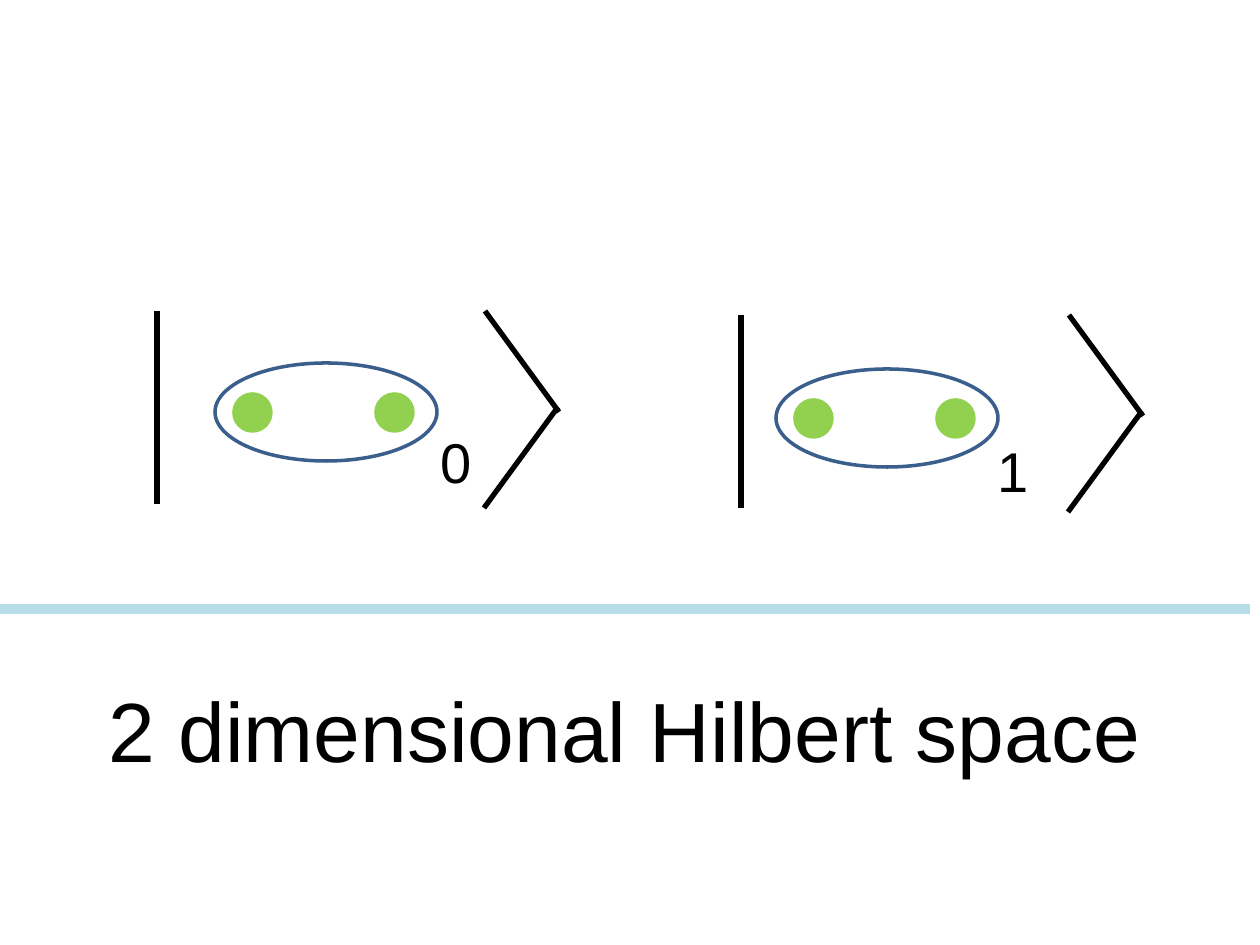
from dataclasses import dataclass

from lxml import etree
from pptx import Presentation
from pptx.dml.color import RGBColor
from pptx.enum import shapes, text
from pptx.oxml.ns import qn
from pptx.util import Pt


@dataclass(frozen=True)
class Theme:
    """Colours, font and sizes of the slide."""
    ink: str = "000000"
    dot: str = "92D050"
    oval: str = "3A5F8C"
    rule: str = "B7DEE8"
    font: str = "Arial"
    title: int = 48
    label: int = 32


T = Theme()
EMU_PER_PX = 914400 / 126
WIDTH, HEIGHT = 1260, 945


def px(*lengths):
    """Turn px lengths into EMU."""
    return [round(n * EMU_PER_PX) for n in lengths]


def write(sp, words, size, color=T.ink, font=T.font):
    """Write one unwrapped, left-aligned line into a shape."""
    tf = sp.text_frame
    tf.word_wrap = False
    tf.auto_size = text.MSO_AUTO_SIZE.SHAPE_TO_FIT_TEXT
    tf.vertical_anchor = text.MSO_ANCHOR.TOP
    p = tf.paragraphs[0]
    p.alignment = text.PP_ALIGN.LEFT
    r = p.add_run()
    r.text = words
    r.font.size = Pt(size)
    r.font.name = font
    r.font.color.rgb = RGBColor.from_string(color)


def add_line(parent, x1, y1, x2, y2, color=T.ink, width=3):
    """Draw a straight line without a shadow."""
    line = parent.add_connector(shapes.MSO_CONNECTOR.STRAIGHT, *px(x1, y1, x2, y2))
    line.line.color.rgb = RGBColor.from_string(color)
    line.line.width = Pt(width)
    etree.SubElement(line._element.spPr, qn("a:effectLst"))


def add_ellipse(s, x, y, w, h, line, fill=None):
    """Draw an ellipse, hollow unless a fill is given."""
    sp = s.shapes.add_shape(shapes.MSO_SHAPE.OVAL, *px(x, y, w, h))
    sp.shadow.inherit = False
    if fill:
        sp.fill.solid()
        sp.fill.fore_color.rgb = RGBColor.from_string(fill)
    else:
        sp.fill.background()
    sp.line.color.rgb = RGBColor.from_string(line)
    sp.line.width = Pt(2)


def add_pair(s, x, y):
    """Draw two dots enclosed by an oval."""
    for dx in (19, 161):
        add_ellipse(s, x + dx, y + 31, 37, 37, T.dot, T.dot)
    add_ellipse(s, x, y, 222, 98, T.oval)


def add_ket(s, x, y, state, pair, label):
    """Draw a ket: bar, angle, pair of dots and state label."""
    add_line(s.shapes, x, y, x, y + 193)
    angle = s.shapes.add_group_shape().shapes
    add_line(angle, x + 328, y, x + 402, y + 101)
    add_line(angle, x + 401, y + 96, x + 327, y + 197)
    add_pair(s, x + pair[0], y + pair[1])
    sp = s.shapes.add_textbox(*px(x + label[0], y + label[1], 57, 79))
    write(sp, state, T.label)


def add_title(s, x, y, w, h):
    """Place the slide title in its box."""
    sp = s.shapes.title
    sp.left, sp.top, sp.width, sp.height = px(x, y, w, h)
    write(sp, "2 dimensional Hilbert space", T.title)


def main():
    """Build and save the slide."""
    prs = Presentation()
    prs.slide_width, prs.slide_height = px(WIDTH, HEIGHT)
    s = prs.slides.add_slide(prs.slide_layouts[5])
    add_ket(s, 157, 311, "0", pair=(58, 52), label=(271, 110))
    add_ket(s, 741, 315, "1", pair=(35, 54), label=(244, 115))
    add_line(s.shapes, 0, 609, 1250, 609, T.rule, 6)
    add_title(s, 96, 672, 1058, 113)
    prs.save("out.pptx")


if __name__ == "__main__":
    main()
